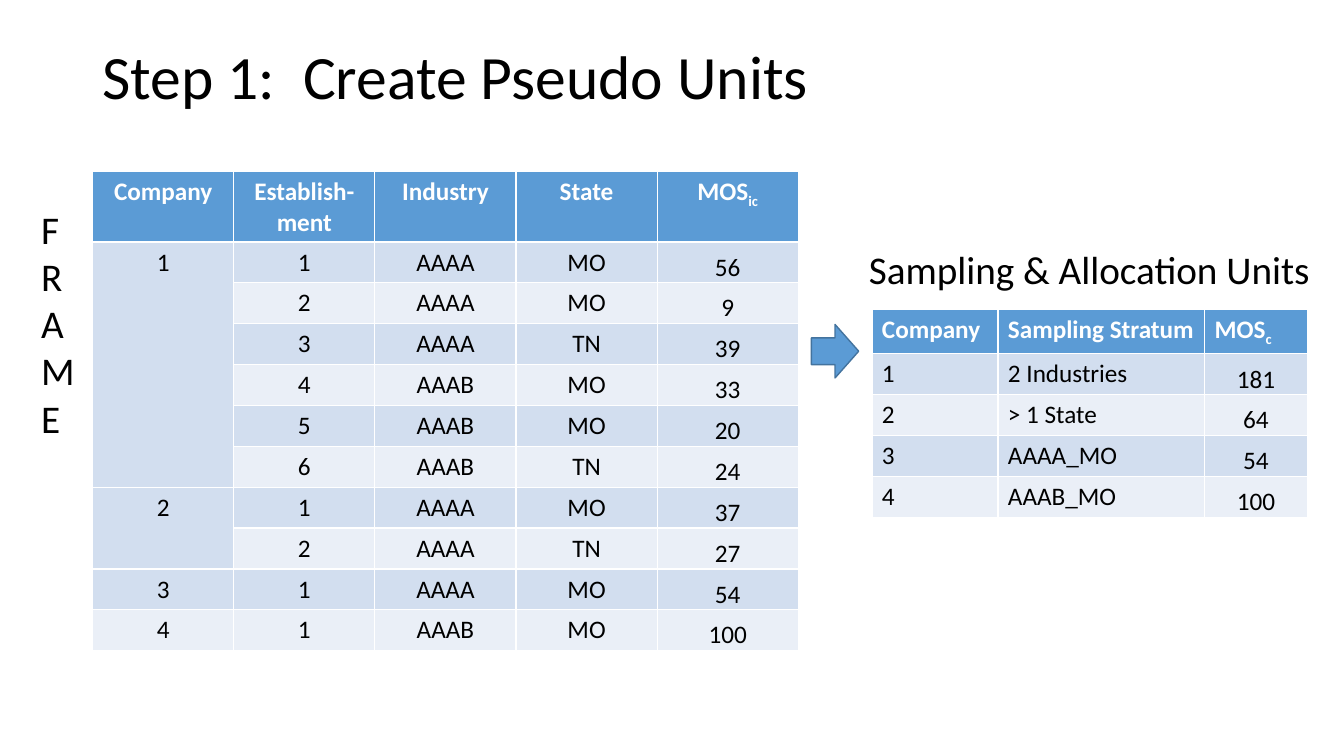
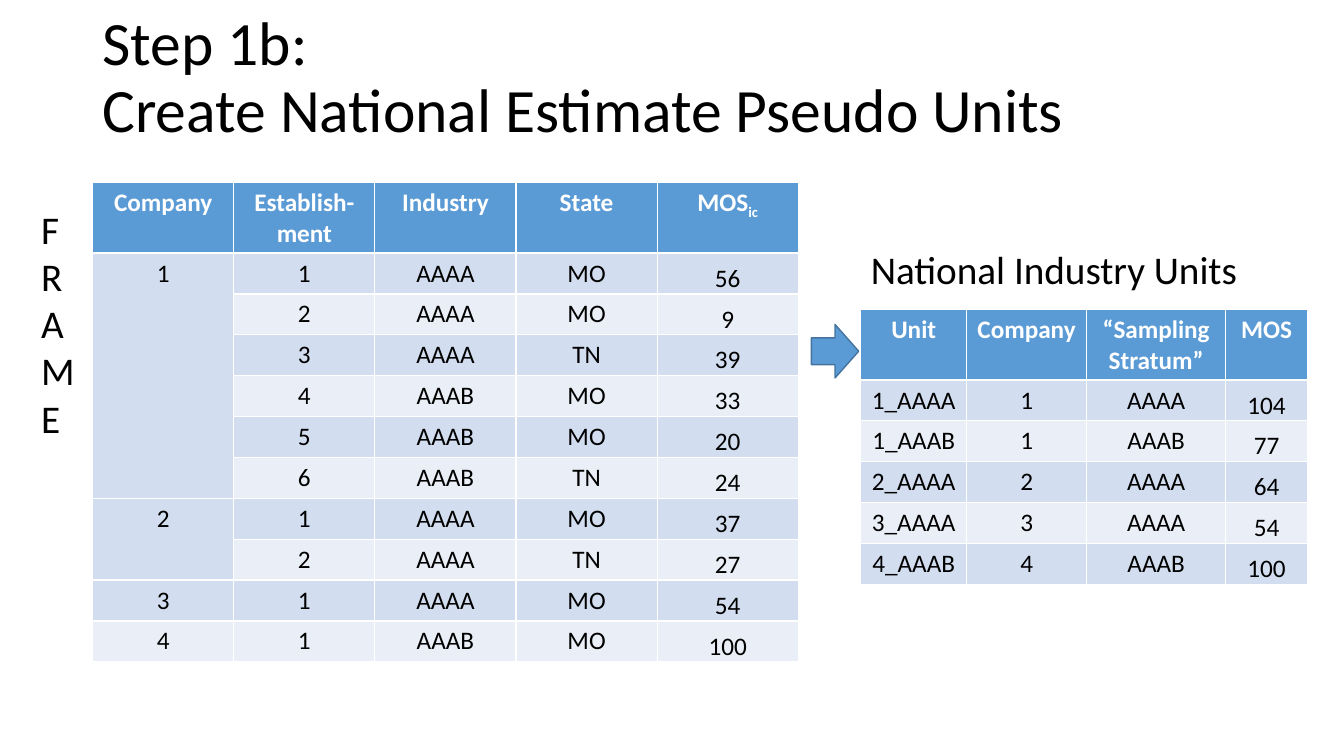
from dataclasses import dataclass

from pptx import Presentation
from pptx.dml.color import RGBColor
from pptx.enum import shapes, text
from pptx.util import Pt


@dataclass(frozen=True)
class Theme:
    font: str = "Calibri"
    black: str = "000000"
    white: str = "FFFFFF"
    accent: str = "5B9BD5"
    accent_dark: str = "43739E"
    bands: tuple = ("D2DEEF", "EAEFF7")
    title_size: int = 44
    label_size: int = 28
    table_size: int = 18
    row_height: float = 29.2


T = Theme()
CENTER, LEFT = text.PP_ALIGN.CENTER, text.PP_ALIGN.LEFT

# Content: a tuple as heading is (text, subscript); None continues the cell above
FRAME_ROWS = [
    ["Company", "Establish-ment", "Industry", "State", ("MOS", "ic")],
    ["1", "1", "AAAA", "MO", "56"],
    [None, "2", "AAAA", "MO", "9"],
    [None, "3", "AAAA", "TN", "39"],
    [None, "4", "AAAB", "MO", "33"],
    [None, "5", "AAAB", "MO", "20"],
    [None, "6", "AAAB", "TN", "24"],
    ["2", "1", "AAAA", "MO", "37"],
    [None, "2", "AAAA", "TN", "27"],
    ["3", "1", "AAAA", "MO", "54"],
    ["4", "1", "AAAB", "MO", "100"],
]
SLIDES = [
    dict(
        title="Step 1:  Create Pseudo Units",
        frame_top=122.4,
        caption="Sampling & Allocation Units",
        caption_box=(613.5, 172, 333.4, 41),
        units_left=622.8,
        units_widths=[90, 147.6, 73.4],
        units_align=LEFT,
        units=[
            ["Company", "Sampling Stratum", ("MOS", "c")],
            ["1", "2 Industries", "181"],
            ["2", "> 1 State", "64"],
            ["3", "AAAA_MO", "54"],
            ["4", "AAAB_MO", "100"],
        ],
    ),
    dict(
        title="Step 1b:\vCreate National Estimate Pseudo Units",
        frame_top=130.3,
        caption="National Industry Units",
        caption_box=(614.9, 171.4, 279.4, 41),
        units_left=614.9,
        units_widths=[75.6, 85.7, 99.4, 58.4],
        units_align=CENTER,
        units=[
            ["Unit", "Company", "“Sampling Stratum”", "MOS"],
            ["1_AAAA", "1", "AAAA", "104"],
            ["1_AAAB", "1", "AAAB", "77"],
            ["2_AAAA", "2", "AAAA", "64"],
            ["3_AAAA", "3", "AAAA", "54"],
            ["4_AAAB", "4", "AAAB", "100"],
        ],
    ),
]


def rgb(color):
    return RGBColor.from_string(color)


def style(p, size, color=T.black, bold=False, align=LEFT):
    p.alignment = align
    for r in p.runs:
        r.font.name, r.font.size, r.font.bold = T.font, Pt(size), bold
        r.font.color.rgb = rgb(color)


def add_title(s, title):
    sp = s.shapes.title
    sp.left, sp.top, sp.width, sp.height = Pt(66), Pt(4.3), Pt(828), Pt(104.4)
    tf = sp.text_frame
    tf.text = title
    tf.auto_size = text.MSO_AUTO_SIZE.NONE
    tf.vertical_anchor = text.MSO_ANCHOR.MIDDLE
    p = tf.paragraphs[0]
    p.line_spacing = 0.9
    style(p, T.title_size)


def add_label(s, label, box, wrap):
    tf = s.shapes.add_textbox(*map(Pt, box)).text_frame
    tf.text = label
    tf.word_wrap = wrap
    tf.auto_size = text.MSO_AUTO_SIZE.SHAPE_TO_FIT_TEXT
    style(tf.paragraphs[0], T.label_size)


def fill_cell(cell, value, header, numeric, band, align):
    cell.fill.solid()
    cell.fill.fore_color.rgb = rgb(T.accent if header else band)
    if value is None:
        return
    parts = value if isinstance(value, tuple) else (value,)
    p = cell.text_frame.paragraphs[0]
    for part in parts:
        r = p.add_run()
        r.text = part
    if len(parts) > 1:
        r.font._element.set("baseline", "-25000")
    if numeric and not header:
        align = CENTER
        cell.vertical_anchor = text.MSO_ANCHOR.BOTTOM
        cell.margin_left = cell.margin_right = cell.margin_top = Pt(0.7)
        cell.margin_bottom = Pt(0)
    style(p, T.table_size, T.white if header else T.black, header, align)


def add_grid(s, rows, left, top, widths, align):
    table = s.shapes.add_table(
        len(rows), len(widths), Pt(left), Pt(top),
        Pt(sum(widths)), Pt(T.row_height * len(rows))).table
    for col, width in zip(table.columns, widths):
        col.width = Pt(width)
    for i, row in enumerate(rows):
        table.rows[i].height = Pt(T.row_height)
        for j, value in enumerate(row):
            fill_cell(table.cell(i, j), value, i == 0, j == len(row) - 1,
                      T.bands[(i + 1) % 2], align)
    # Join each company with the continuation cells below it
    starts = [i for i, row in enumerate(rows) if row[0] is not None]
    for start, end in zip(starts, starts[1:] + [len(rows)]):
        if end - start > 1:
            table.cell(start, 0).merge(table.cell(end - 1, 0))


def add_arrow(s):
    sp = s.shapes.add_shape(shapes.MSO_SHAPE.RIGHT_ARROW,
                            Pt(579.6), Pt(231.8), Pt(33.8), Pt(38.2))
    sp.shadow.inherit = False
    sp.fill.solid()
    sp.fill.fore_color.rgb = rgb(T.accent)
    sp.line.color.rgb = rgb(T.accent_dark)
    sp.line.width = Pt(1)


def main():
    prs = Presentation()
    prs.slide_width, prs.slide_height = Pt(960), Pt(540)
    for d in SLIDES:
        s = prs.slides.add_slide(prs.slide_layouts[5])
        add_title(s, d["title"])
        # Frame on the left
        add_label(s, "FRAME", (22.3, 143.3, 33.8, 177), True)
        add_grid(s, FRAME_ROWS, 66.2, d["frame_top"], [100.8] * 5, CENTER)
        # Resulting units on the right
        add_arrow(s)
        add_label(s, d["caption"], d["caption_box"], False)
        add_grid(s, d["units"], d["units_left"], 221, d["units_widths"],
                 d["units_align"])
    prs.save("out.pptx")


if __name__ == "__main__":
    main()
